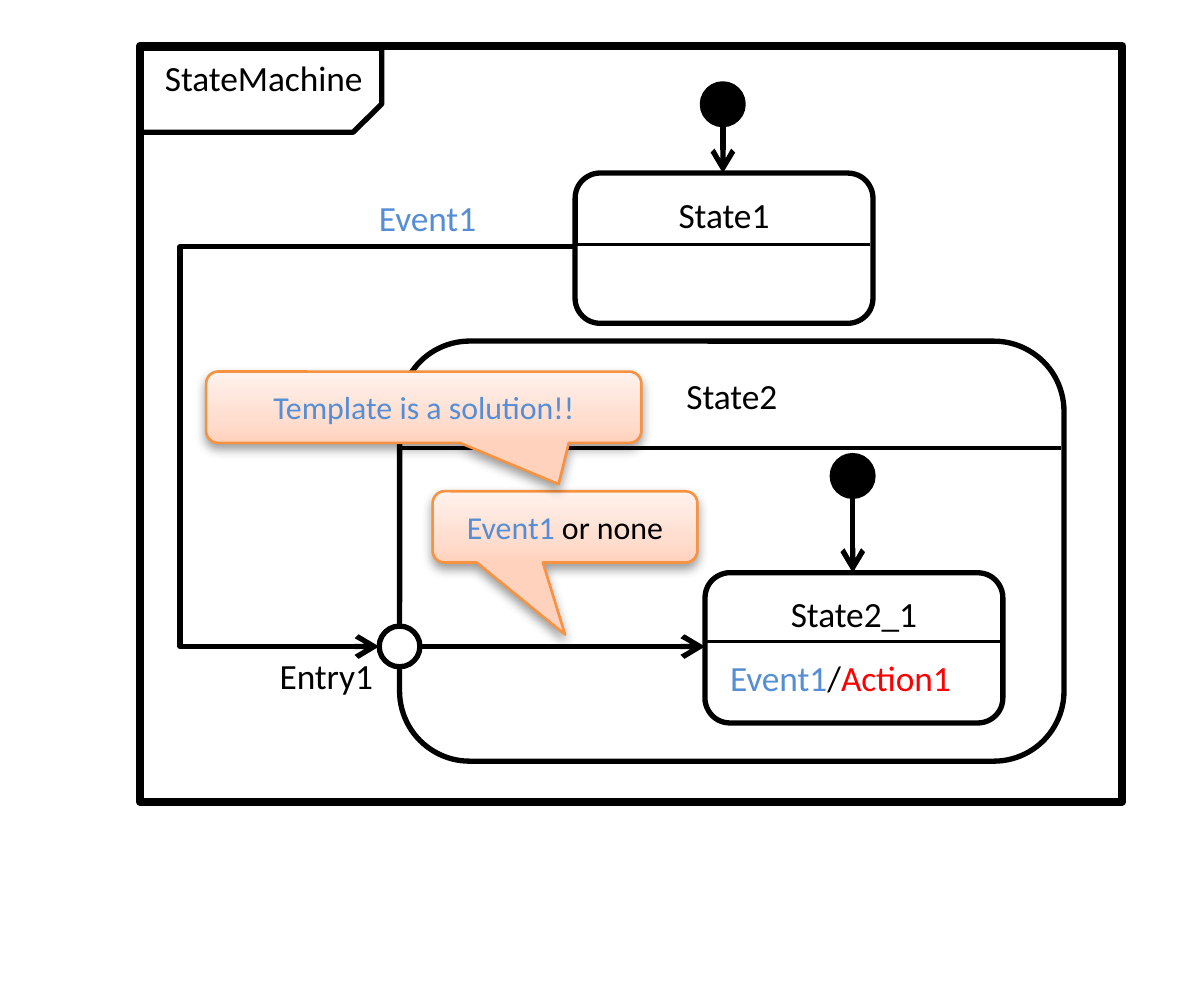
from lxml import etree
from pptx import Presentation
from pptx.dml.color import RGBColor
from pptx.enum.shapes import MSO_CONNECTOR as LINK, MSO_SHAPE as SHAPE
from pptx.enum.text import MSO_ANCHOR as ANCHOR, PP_ALIGN as ALIGN
from pptx.oxml import parse_xml
from pptx.oxml.ns import nsdecls, qn
from pptx.util import Inches, Pt

BLACK = RGBColor(0x00, 0x00, 0x00)
WHITE = RGBColor(0xFF, 0xFF, 0xFF)
BLUE = RGBColor(0x55, 0x8E, 0xD5)
RED = RGBColor(0xFF, 0x00, 0x00)
ORANGE = RGBColor(0xF6, 0x92, 0x40)
PEACH_STOPS = [(0, "FFD2BD"), (35, "FFDED0"), (100, "FFF2ED")]

prs = Presentation()
prs.slide_width, prs.slide_height = Inches(4.73), Inches(3.94)
shapes = prs.slides.add_slide(prs.slide_layouts[6]).shapes


def write(text, box=None, into=None, size=10, align=ALIGN.LEFT, anchor=ANCHOR.TOP):
    holder = into if into is not None else shapes.add_textbox(*map(Inches, box))
    frame = holder.text_frame
    frame.word_wrap = True
    frame.vertical_anchor = anchor
    line = frame.paragraphs[0]
    line.alignment = align
    for words, color in text:
        run = line.add_run()
        run.text = words
        run.font.name = "Calibri"
        run.font.size = Pt(size)
        run.font.color.rgb = color


def draw(kind, box, fill=None, color=BLACK, width=1.5, ends=None, arrow=False):
    if ends:
        item = shapes.add_connector(kind, *map(Inches, ends))
        etree.SubElement(item._element.spPr, qn("a:effectLst"))
    else:
        item = shapes.add_shape(kind, *map(Inches, box))
        item.shadow.inherit = False
        if fill is None:
            item.fill.background()
        else:
            item.fill.solid()
            item.fill.fore_color.rgb = fill
    item.line.color.rgb = color
    item.line.width = Pt(width)
    if arrow:
        etree.SubElement(item.line._get_or_add_ln(), qn("a:tailEnd"), type="arrow")
    return item


draw(LINK.STRAIGHT, None, ends=(2.84, 0.48, 2.84, 0.68), arrow=True)
draw(SHAPE.RECTANGLE, (0.55, 0.18, 3.86, 2.97), width=2.25)
name_tab = draw(SHAPE.SNIP_1_RECTANGLE, (0.55, 0.19, 0.95, 0.33))
name_tab.adjustments[0] = 0.34
name_tab._element.spPr.xfrm.set("flipV", "1")
write([("StateMachine", BLACK)], box=(0.55, 0.17, 1.13, 0.27))

states = [
    ("State1", (2.26, 0.68, 1.17, 0.59), 0.96, (2.76, 0.33)),
    ("State2", (1.57, 1.34, 2.61, 1.65), 1.76, None),
    ("State2_1", (2.77, 2.25, 1.17, 0.59), 2.52, (3.27, 1.79)),
]
for name, box, divider, start in states:
    state = draw(SHAPE.ROUNDED_RECTANGLE, box)
    write([(name, BLACK)], into=state, align=ALIGN.CENTER)
    draw(LINK.STRAIGHT, None, width=1,
         ends=(box[0], divider, box[0] + box[2] - 0.01, divider))
    if start:
        draw(SHAPE.FLOWCHART_CONNECTOR, (*start, 0.16, 0.16), fill=BLACK)

event_path = draw(LINK.ELBOW, None, ends=(2.26, 0.97, 1.49, 2.54), arrow=True)
bend = event_path._element.spPr.find(qn("a:prstGeom")).get_or_add_avLst()
etree.SubElement(bend, qn("a:gd"), name="adj1", fmla="val 201600")
write([("Event1", BLUE)], box=(1.39, 0.72, 0.95, 0.27))

draw(SHAPE.FLOWCHART_CONNECTOR, (1.49, 2.46, 0.16, 0.16), fill=WHITE)
write([("Entry1", BLACK)], box=(1, 2.52, 0.68, 0.27))
for ends in [(3.35, 1.95, 3.35, 2.25), (1.65, 2.54, 2.77, 2.54)]:
    draw(LINK.STRAIGHT, None, ends=ends, arrow=True)
write([("Event1", BLUE), ("/", BLACK), ("Action1", RED)], box=(2.77, 2.53, 1.16, 0.27))

callouts = [
    ([("Event1", BLUE), (" or none", BLACK)], (1.7, 1.93, 1.04, 0.28), (0, 1.51)),
    ([("Template is a solution!!", BLUE)], (0.81, 1.46, 1.71, 0.28), (0.31, 1.08)),
]
stops = "".join(f'<a:gs pos="{pos * 1000}"><a:srgbClr val="{color}"/></a:gs>'
                for pos, color in PEACH_STOPS)
for text, box, tip in callouts:
    callout = draw(SHAPE.ROUNDED_RECTANGULAR_CALLOUT, box, color=ORANGE, width=0.75)
    callout.adjustments[0], callout.adjustments[1] = tip
    props = callout._element.spPr
    props.replace(props.find(qn("a:noFill")), parse_xml(
        f'<a:gradFill {nsdecls("a")} rotWithShape="1"><a:gsLst>{stops}</a:gsLst>'
        '<a:lin ang="16200000" scaled="1"/></a:gradFill>'))
    props.find(qn("a:effectLst")).append(parse_xml(
        f'<a:outerShdw {nsdecls("a")} blurRad="{Pt(3.1)}" dist="{Pt(1.6)}" '
        'dir="5400000" rotWithShape="0"><a:srgbClr val="000000">'
        '<a:alpha val="38000"/></a:srgbClr></a:outerShdw>'))
    write(text, into=callout, size=9, align=ALIGN.CENTER, anchor=ANCHOR.MIDDLE)

prs.save("out.pptx")
